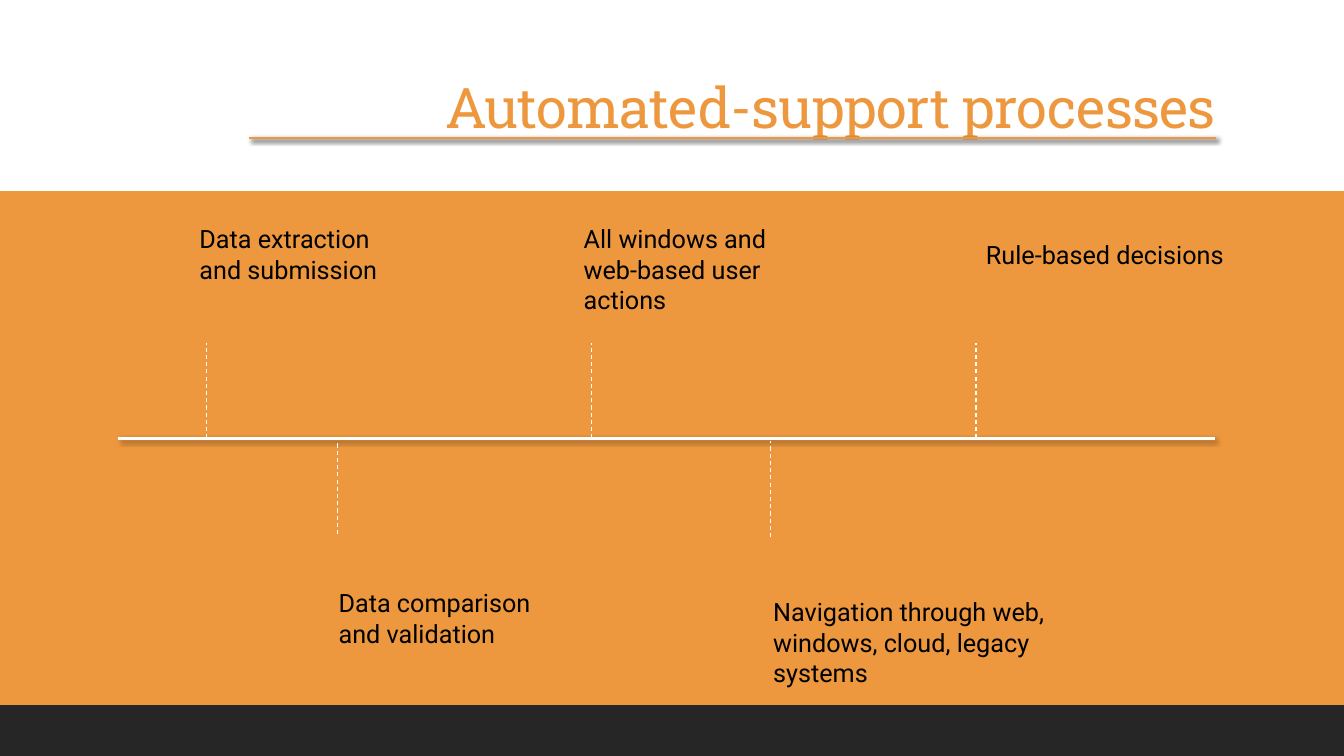
import pptx
import pptx.util
import pptx.dml.color
import pptx.enum.dml
import pptx.enum.shapes
import pptx.enum.text
from lxml import etree
from pptx.util import Inches, Pt

NS = "http://schemas.openxmlformats.org/drawingml/2006/main"
ORANGE, WHITE, BLACK, DARK = "ED983E", "FFFFFF", "000000", "262626"
SHADOW = (f'<a:effectLst xmlns:a="{NS}"><a:outerShdw blurRad="38100" dist="25400" '
          'dir="2700000" rotWithShape="0"><a:srgbClr val="000000"><a:alpha val="60000"/>'
          '</a:srgbClr></a:outerShdw></a:effectLst>')
NO_SHADOW = f'<a:effectLst xmlns:a="{NS}"/>'
rgb = pptx.dml.color.RGBColor.from_string

prs = pptx.Presentation()
prs.slide_width, prs.slide_height = Inches(13.33), Inches(7.5)
s = prs.slides.add_slide(prs.slide_layouts[6])


def add_text(text, x, y, w, h, size=18, font="Roboto", color=BLACK, wrap=True,
             align=pptx.enum.text.PP_ALIGN.LEFT, anchor=pptx.enum.text.MSO_ANCHOR.TOP,
             line_spacing=1.0, tracking=0):
    tf = s.shapes.add_textbox(Inches(x), Inches(y), Inches(w), Inches(h)).text_frame
    tf.word_wrap = wrap
    tf.vertical_anchor = anchor
    p = tf.paragraphs[0]
    p.alignment = align
    p.line_spacing = line_spacing
    r = p.add_run()
    r.text = text
    r.font.size = Pt(size)
    r.font.name = font
    r.font.color.rgb = rgb(color)
    if tracking:
        r.font._element.set("spc", str(round(tracking * 100)))


def add_line(x1, y1, x2, y2, color=WHITE, width=2, dashed=False):
    """Draw a solid line with a shadow, or a dashed line without one."""
    line = s.shapes.add_connector(pptx.enum.shapes.MSO_CONNECTOR.STRAIGHT,
                                  Inches(x1), Inches(y1), Inches(x2), Inches(y2))
    line.line.color.rgb = rgb(color)
    line.line.width = Pt(width)
    if dashed:
        line.line.dash_style = pptx.enum.dml.MSO_LINE.DASH
    line._element.spPr.append(etree.fromstring(NO_SHADOW if dashed else SHADOW))


# Background bands
for y, h, color in [(7, 0.5, DARK), (1.9, 5.09, ORANGE)]:
    band = s.shapes.add_shape(pptx.enum.shapes.MSO_SHAPE.RECTANGLE,
                              0, Inches(y), prs.slide_width, Inches(h))
    band.shadow.inherit = False
    band.fill.solid()
    band.fill.fore_color.rgb = rgb(color)
    band.line.color.rgb = rgb(color)
    band.line.width = Pt(1.25)

# Title and its rule
add_text("Automated-support processes", 2.73, 0.29, 9.43, 1.15, size=40,
         font="Roboto Slab", color=ORANGE, align=pptx.enum.text.PP_ALIGN.RIGHT,
         anchor=pptx.enum.text.MSO_ANCHOR.BOTTOM, line_spacing=0.9, tracking=-0.5)
add_line(2.47, 1.37, 12.06, 1.37, color=ORANGE)

# Timeline: label, marker x, marker top, label left, top, width, height, wrap
AXIS_Y, MARKER = 4.35, 0.95
add_line(1.17, AXIS_Y, 12.05, AXIS_Y)
steps = [
    ("Data extraction and submission", 2.05, AXIS_Y - MARKER, 1.88, 2.17, 2.21, 0.71, True),
    ("Data comparison and validation", 3.35, AXIS_Y, 3.26, 5.78, 2.21, 0.71, True),
    ("All windows and web-based user actions", 5.87, AXIS_Y - MARKER,
     5.69, 2.17, 2.55, 0.71, True),
    ("Navigation through web, windows, cloud, legacy systems", 7.64, 4.38,
     7.57, 5.87, 3.52, 0.71, True),
    ("Rule-based decisions", 9.68, AXIS_Y - MARKER, 9.68, 2.33, 2.61, 0.4, False),
]
for label, marker_x, top, x, y, w, h, wrap in steps:
    add_line(marker_x, top + MARKER, marker_x, top, width=0.75, dashed=True)
    add_text(label, x, y, w, h, wrap=wrap)

prs.save("out.pptx")
